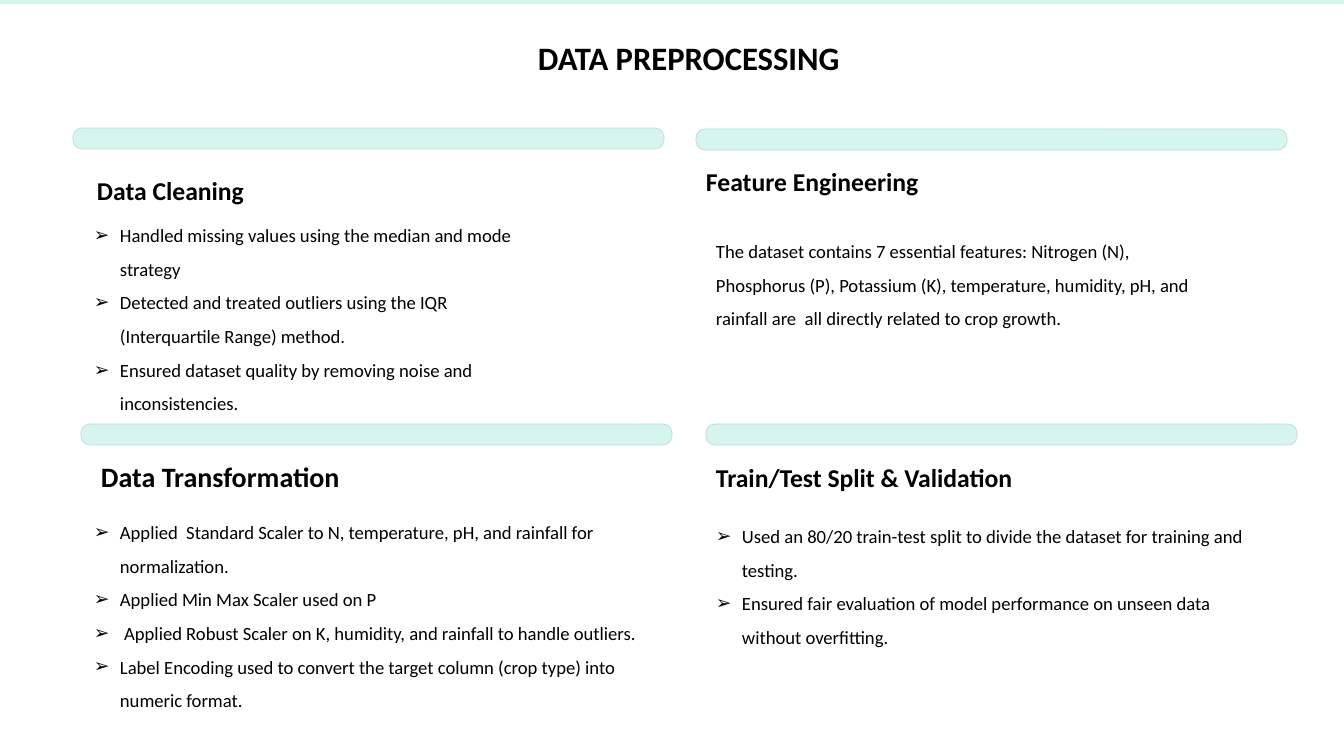
from dataclasses import dataclass

from lxml import etree
from pptx import Presentation
from pptx.dml.color import RGBColor
from pptx.enum.shapes import MSO_SHAPE
from pptx.enum.text import MSO_ANCHOR, MSO_AUTO_SIZE, PP_ALIGN
from pptx.oxml.ns import qn
from pptx.util import Emu, Pt

RECTANGLE = MSO_SHAPE.RECTANGLE
ROUNDED = MSO_SHAPE.ROUNDED_RECTANGLE
TOP = MSO_ANCHOR.TOP
LEFT = PP_ALIGN.LEFT
NO_FIT = MSO_AUTO_SIZE.NONE

EMU_PER_PX = 914400 / 84
COMPARISON_LAYOUT = 4
PAGE_WIDTH, PAGE_HEIGHT = 1344, 756
BAR_WIDTH, BAR_HEIGHT = 591, 21
BULLET_INDENT = 26
MINT, MINT_EDGE, BLACK = "D6F5EE", "BCDBD4", "000000"
FONT = "Calibri"


@dataclass(frozen=True)
class Area:
    left: int
    top: int
    width: int
    height: int


@dataclass(frozen=True)
class Section:
    bar: Area
    heading_area: Area
    heading: str
    heading_size: int
    body_area: Area
    lines: tuple[str, ...]
    bulleted: bool = True


def bar_at(left: int, top: int) -> Area:
    return Area(left, top, BAR_WIDTH, BAR_HEIGHT)


SECTIONS = (
    Section(
        bar_at(73, 128), Area(97, 174, 260, 33), "Data Cleaning", 22,
        Area(94, 213, 454, 202),
        ("Handled missing values using the median and mode strategy",
         "Detected and treated outliers using the IQR (Interquartile Range) method.",
         "Ensured dataset quality by removing noise and inconsistencies."),
    ),
    Section(
        bar_at(696, 129), Area(706, 165, 518, 33), "Feature Engineering", 22,
        Area(716, 229, 501, 102),
        ("The dataset contains 7 essential features: Nitrogen (N), Phosphorus (P), "
         "Potassium (K), temperature, humidity, pH, and rainfall are  all directly "
         "related to crop growth.",),
        bulleted=False,
    ),
    Section(
        bar_at(81, 424), Area(101, 461, 260, 33), "Data Transformation", 24,
        Area(94, 510, 549, 202),
        ("Applied  Standard Scaler to N, temperature, pH, and rainfall for normalization.",
         "Applied Min Max Scaler used on P",
         " Applied Robust Scaler on K, humidity, and rainfall to handle outliers.",
         "Label Encoding used to convert the target column (crop type) into numeric format."),
    ),
    Section(
        bar_at(706, 424), Area(716, 461, 453, 33), "Train/Test Split & Validation", 22,
        Area(716, 514, 555, 167),
        ("Used an 80/20 train-test split to divide the dataset for training and testing.",
         "Ensured fair evaluation of model performance on unseen data without overfitting."),
    ),
)


def px(length: int) -> Emu:
    return Emu(round(length * EMU_PER_PX))


def colour(value: str) -> RGBColor:
    return RGBColor.from_string(value)


def place(box, area: Area) -> None:
    box.left, box.top = px(area.left), px(area.top)
    box.width, box.height = px(area.width), px(area.height)


def set_frame(box) -> None:
    frame = box.text_frame
    frame.word_wrap = True
    frame.auto_size = NO_FIT
    frame.vertical_anchor = TOP
    frame.margin_left = frame.margin_right = 0
    frame.margin_top = frame.margin_bottom = 0


def write(para, text: str, size: int, bold: bool, spacing) -> None:
    para.alignment = LEFT
    para.line_spacing = spacing
    para.space_before = para.space_after = Pt(0)
    span = para.add_run()
    span.text = text
    span.font.name = FONT
    span.font.size = Pt(size)
    span.font.bold = bold
    span.font.color.rgb = colour(BLACK)


def set_bullet(para, bulleted: bool) -> None:
    indent = px(BULLET_INDENT) if bulleted else 0
    properties = para._p.get_or_add_pPr()
    properties.set("marL", str(indent))
    properties.set("indent", str(-indent))
    if bulleted:
        etree.SubElement(properties, qn("a:buChar")).set("char", "➢")
    else:
        etree.SubElement(properties, qn("a:buNone"))


def add_bar(page, area: Area, kind, edge: str | None = None):
    bar = page.shapes.add_shape(
        kind, px(area.left), px(area.top), px(area.width), px(area.height))
    bar.shadow.inherit = False
    bar.fill.solid()
    bar.fill.fore_color.rgb = colour(MINT)
    if edge:
        bar.line.color.rgb = colour(edge)
        bar.line.width = Pt(0.6)
    else:
        bar.line.fill.background()
    return bar


def fill_title(page) -> None:
    title = page.shapes.title
    place(title, Area(538, 12, 357, 65))
    set_frame(title)
    write(title.text_frame.paragraphs[0], "DATA PREPROCESSING", 28, True, Pt(55.5))


def add_section(page, section: Section, body) -> None:
    bar = add_bar(page, section.bar, ROUNDED, MINT_EDGE)
    bar.adjustments[0] = 0.42

    area = section.heading_area
    heading = page.shapes.add_textbox(
        px(area.left), px(area.top), px(area.width), px(area.height))
    set_frame(heading)
    write(heading.text_frame.paragraphs[0], section.heading,
          section.heading_size, True, Pt(27.5))

    place(body, section.body_area)
    set_frame(body)
    frame = body.text_frame
    for number, line in enumerate(section.lines):
        para = frame.add_paragraph() if number else frame.paragraphs[0]
        set_bullet(para, section.bulleted)
        write(para, line, 16, False, 1.5)


def main() -> None:
    deck = Presentation()
    deck.slide_width, deck.slide_height = px(PAGE_WIDTH), px(PAGE_HEIGHT)
    page = deck.slides.add_slide(deck.slide_layouts[COMPARISON_LAYOUT])
    add_bar(page, Area(0, 0, PAGE_WIDTH, 4), RECTANGLE)
    fill_title(page)
    bodies = list(page.placeholders)[1:]
    for section, body in zip(SECTIONS, bodies):
        add_section(page, section, body)
    deck.save("out.pptx")


if __name__ == "__main__":
    main()
